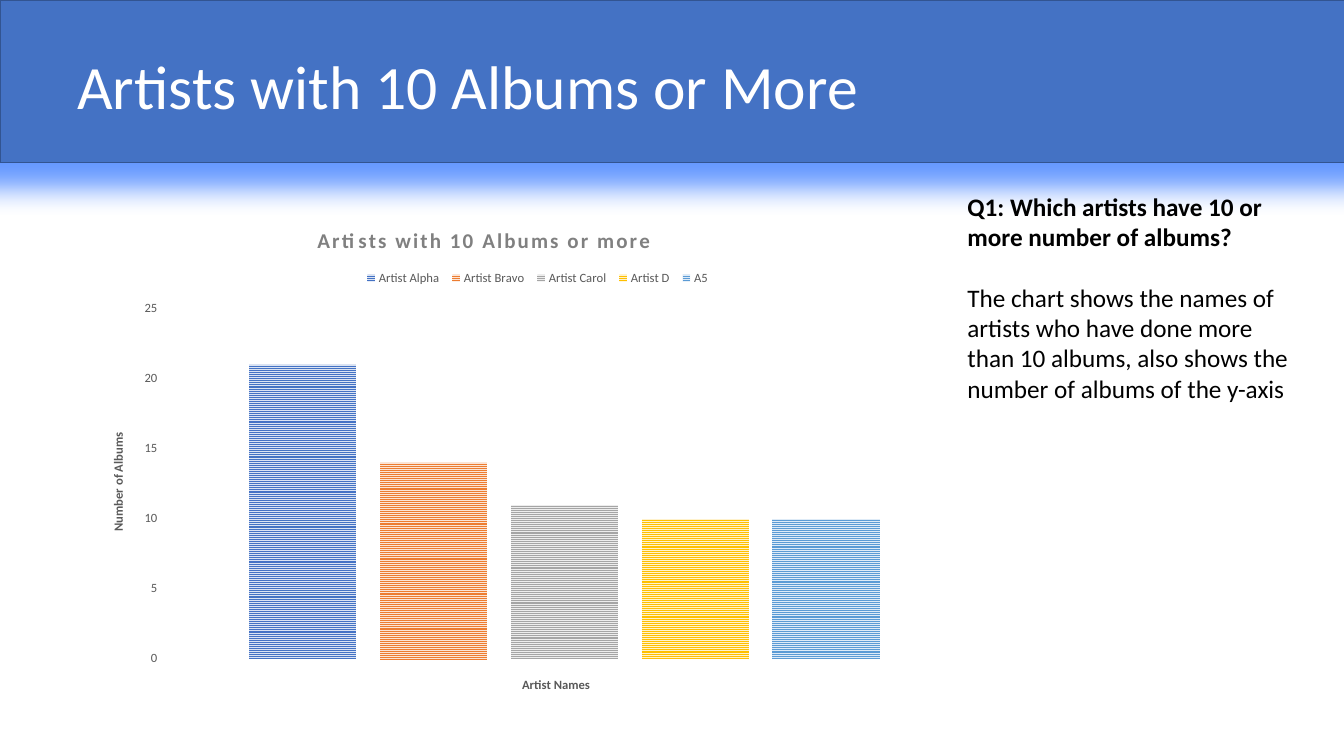
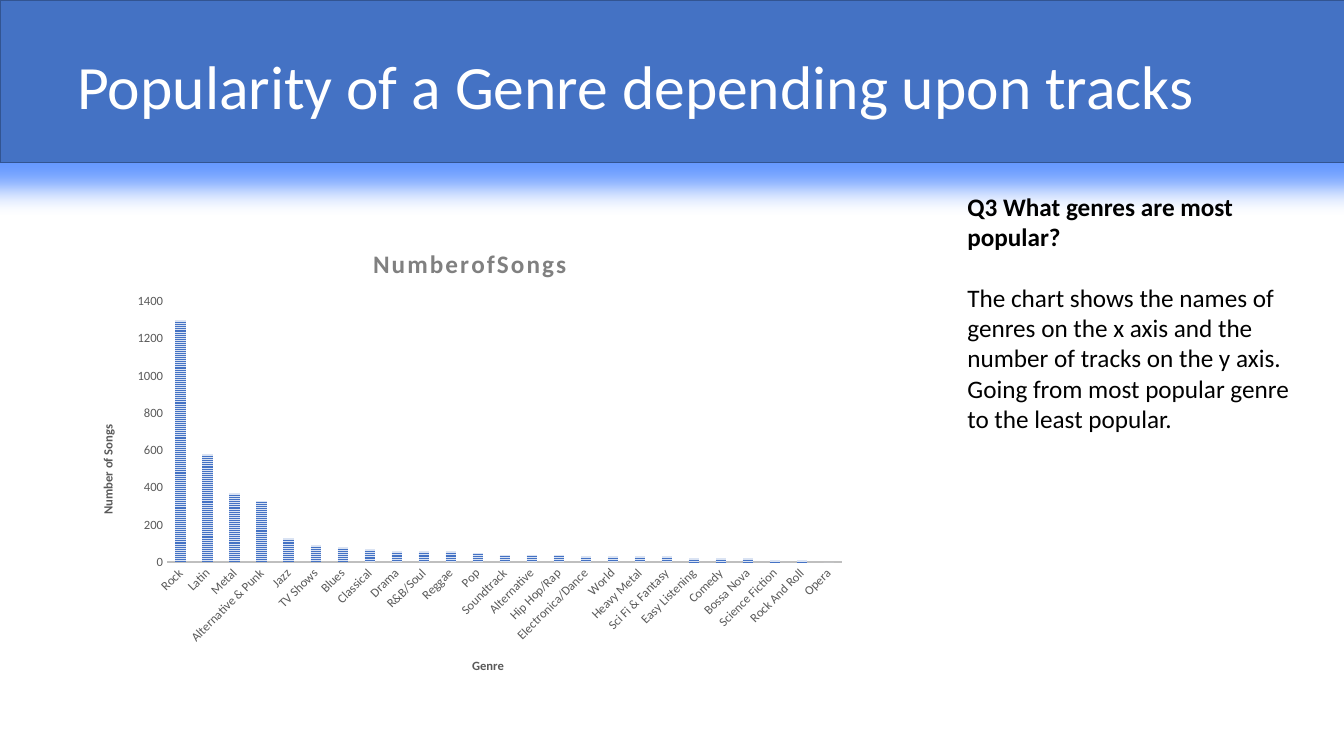
from lxml import etree
from pptx import Presentation
from pptx.chart.data import CategoryChartData
from pptx.dml.color import RGBColor
from pptx.enum.chart import XL_CHART_TYPE as ChartType, XL_LEGEND_POSITION as LegendPos
from pptx.enum.chart import XL_TICK_MARK as TickMark
from pptx.enum.dml import MSO_PATTERN as Pattern
from pptx.enum.shapes import MSO_SHAPE as Shape
from pptx.enum.text import MSO_ANCHOR as Anchor, MSO_AUTO_SIZE as AutoSize
from pptx.oxml.ns import qn
from pptx.util import Cm, Pt

FONT = "Calibri"
COLORS = {
    "band": "4472C4", "band_line": "325491", "glow": "6699FF",
    "white": "FFFFFF", "text": "000000", "chart_title": "808080",
    "label": "595959", "axis": "BFBFBF",
}
# Stripe colour and ground of each series
STRIPES = [("4472C4", "DAE3F3"), ("ED7D31", "FBE5D6"), ("A5A5A5", "EDEDED"),
           ("FFC000", "FFF2CC"), ("5B9BD5", "DEEBF7")]

ARTISTS = [("Artist Alpha", [21]), ("Artist Bravo", [14]),
           ("Artist Carol", [11]), ("Artist D", [10]), ("A5", [10])]
GENRES = {
    "Rock": 1300, "Latin": 580, "Metal": 370, "Alternative & Punk": 330,
    "Jazz": 130, "TV Shows": 90, "Blues": 80, "Classical": 70, "Drama": 60,
    "R&B/Soul": 60, "Reggae": 60, "Pop": 50, "Soundtrack": 40,
    "Alternative": 40, "Hip Hop/Rap": 40, "Electronica/Dance": 30,
    "World": 30, "Heavy Metal": 30, "Sci Fi & Fantasy": 30,
    "Easy Listening": 20, "Comedy": 20, "Bossa Nova": 20,
    "Science Fiction": 10, "Rock And Roll": 10, "Opera": 0,
}


def rgb(name):
    return RGBColor.from_string(COLORS[name])


def set_font(font, size, color, bold=False):
    font.name, font.size, font.bold = FONT, Pt(size), bold
    font.color.rgb = rgb(color)


# Slide frame: band with a soft glow, and title
def add_band(slide):
    sp = slide.shapes.add_shape(Shape.RECTANGLE, 0, 0, Cm(34.06), Cm(4.09))
    sp.fill.solid()
    sp.fill.fore_color.rgb = rgb("band")
    sp.line.color.rgb = rgb("band_line")
    sp.line.width = Pt(1)
    sp.shadow.inherit = False
    effects = sp._element.spPr.find(qn("a:effectLst"))
    glow = etree.SubElement(effects, qn("a:outerShdw"), blurRad=str(Cm(0.7)),
                            dist=str(Cm(0.6)), dir="5400000", sx="105000",
                            algn="t", rotWithShape="0")
    etree.SubElement(glow, qn("a:srgbClr"), val=COLORS["glow"])


def add_text_box(slide, left, top, width, height):
    sp = slide.shapes.add_textbox(Cm(left), Cm(top), Cm(width), Cm(height))
    sp.text_frame.word_wrap = True
    return sp.text_frame


def add_title(slide, text):
    tf = add_text_box(slide, 1.7, 0.41, 29.21, 3.68)
    tf.vertical_anchor = Anchor.MIDDLE
    p = tf.paragraphs[0]
    p.text = text
    p.line_spacing = 0.9
    set_font(p.font, 44, "white")


def add_answer(slide, question, answer, height):
    tf = add_text_box(slide, 24.13, 4.7, 8.69, height)
    tf.auto_size = AutoSize.SHAPE_TO_FIT_TEXT
    p = tf.paragraphs[0]
    p.text = question
    p.space_after = Pt(21.6)
    set_font(p.font, 18, "text", bold=True)
    p = tf.add_paragraph()
    p.text = answer
    set_font(p.font, 18, "text")


# Charts: positions inside a chart are fractions of its size
def place(element, index, *fractions, inner=False):
    for old in element.findall(qn("c:layout")):
        element.remove(old)
    layout = etree.Element(qn("c:layout"))
    element.insert(index, layout)
    manual = etree.SubElement(layout, qn("c:manualLayout"))
    if inner:
        etree.SubElement(manual, qn("c:layoutTarget"), val="inner")
    for mode in ("xMode", "yMode"):
        etree.SubElement(manual, qn("c:" + mode), val="edge")
    for side, fraction in zip("xywh", fractions):
        etree.SubElement(manual, qn("c:" + side), val=str(fraction))


def set_chart_title(chart, text, size):
    chart.has_title = True
    p = chart.chart_title.text_frame.paragraphs[0]
    r = p.add_run()
    r.text = text
    set_font(r.font, size, "chart_title", bold=True)
    r._r.get_or_add_rPr().set("spc", "150")


def style_axis(axis, title, at):
    axis.has_major_gridlines = False
    axis.major_tick_mark = axis.minor_tick_mark = TickMark.NONE
    set_font(axis.tick_labels.font, 9, "label")
    axis.has_title = True
    r = axis.axis_title.text_frame.paragraphs[0].add_run()
    r.text = title
    set_font(r.font, 9, "label", bold=True)
    place(axis.axis_title._element, 1, *at)


def add_column_chart(slide, box, categories, series, title, title_size,
                     x_title, y_title, plot_at, y_max, y_step):
    data = CategoryChartData()
    data.categories = categories
    for name, values in series:
        data.add_series(name, values)
    chart = slide.shapes.add_chart(ChartType.COLUMN_CLUSTERED,
                                   *map(Cm, box), data).chart
    set_font(chart.font, 10, "text")
    set_chart_title(chart, title, title_size)
    chart.has_legend = False

    plot = chart.plots[0]
    plot.vary_by_categories = False
    plot.gap_width, plot.overlap = 164, -22
    for ser, (stripe, ground) in zip(plot.series, STRIPES):
        fill = ser.format.fill
        fill.patterned()
        fill.pattern = Pattern.NARROW_HORIZONTAL
        fill.fore_color.rgb = RGBColor.from_string(stripe)
        fill.back_color.rgb = RGBColor.from_string(ground)

    x_axis, y_axis = chart.category_axis, chart.value_axis
    style_axis(x_axis, *x_title)
    style_axis(y_axis, *y_title)
    x_axis.format.line.color.rgb = rgb("axis")
    x_axis.format.line.width = Pt(1.5)
    y_axis.format.line.fill.background()
    y_axis.minimum_scale, y_axis.maximum_scale = 0, y_max
    y_axis.major_unit = y_step
    place(chart._chartSpace.chart.plotArea, 0, *plot_at, inner=True)
    return chart


def add_legend(chart, at):
    chart.has_legend = True
    chart.legend.position = LegendPos.TOP
    chart.legend.include_in_layout = False
    set_font(chart.legend.font, 9, "label")
    place(chart.legend._element, 1, *at)


def add_content_slide(prs, title):
    slide = prs.slides.add_slide(prs.slide_layouts[6])
    add_band(slide)
    add_title(slide, title)
    return slide


def add_artists_slide(prs):
    slide = add_content_slide(prs, "Artists with 10 Albums or More")
    chart = add_column_chart(
        slide, (2.26, 5.21, 22.58, 12.8), ["1"], ARTISTS,
        "Artists with 10 Albums or more", 15,
        x_title=("Artist Names", (0.48, 0.92)),
        y_title=("Number of Albums", (0.02, 0.44)),
        plot_at=(0.08, 0.2, 0.9, 0.69), y_max=25, y_step=5)
    chart.category_axis.visible = False
    place(chart.chart_title._element, 1, 0.25, 0.03)
    add_legend(chart, (0.3, 0.11, 0.4, 0.06))
    add_answer(slide, "Q1: Which artists have 10 or more number of albums?",
               "The chart shows the names of artists who have done more than "
               "10 albums, also shows the number of albums of the y-axis", 6.4)


def add_genres_slide(prs):
    slide = add_content_slide(prs, "Popularity of a Genre depending upon tracks")
    add_answer(slide, "Q3 What genres are most popular?",
               "The chart shows the names of genres on the x axis and the "
               "number of tracks on the y axis. Going from most popular genre "
               "to the least popular.", 7.19)
    chart = add_column_chart(
        slide, (2.06, 5.72, 19.56, 11.73), list(GENRES),
        [("NumberofSongs", list(GENRES.values()))], "NumberofSongs", 18,
        x_title=("Genre", (0.5, 0.92)),
        y_title=("Number of Songs", (0.02, 0.42)),
        plot_at=(0.11, 0.16, 0.87, 0.56), y_max=1400, y_step=200)
    # Slanted genre names
    chart.category_axis._element.txPr.bodyPr.set("rot", "-2700000")


def main():
    prs = Presentation()
    prs.slide_width, prs.slide_height = Cm(33.87), Cm(19.05)
    add_artists_slide(prs)
    add_genres_slide(prs)
    prs.save("out.pptx")


main()
